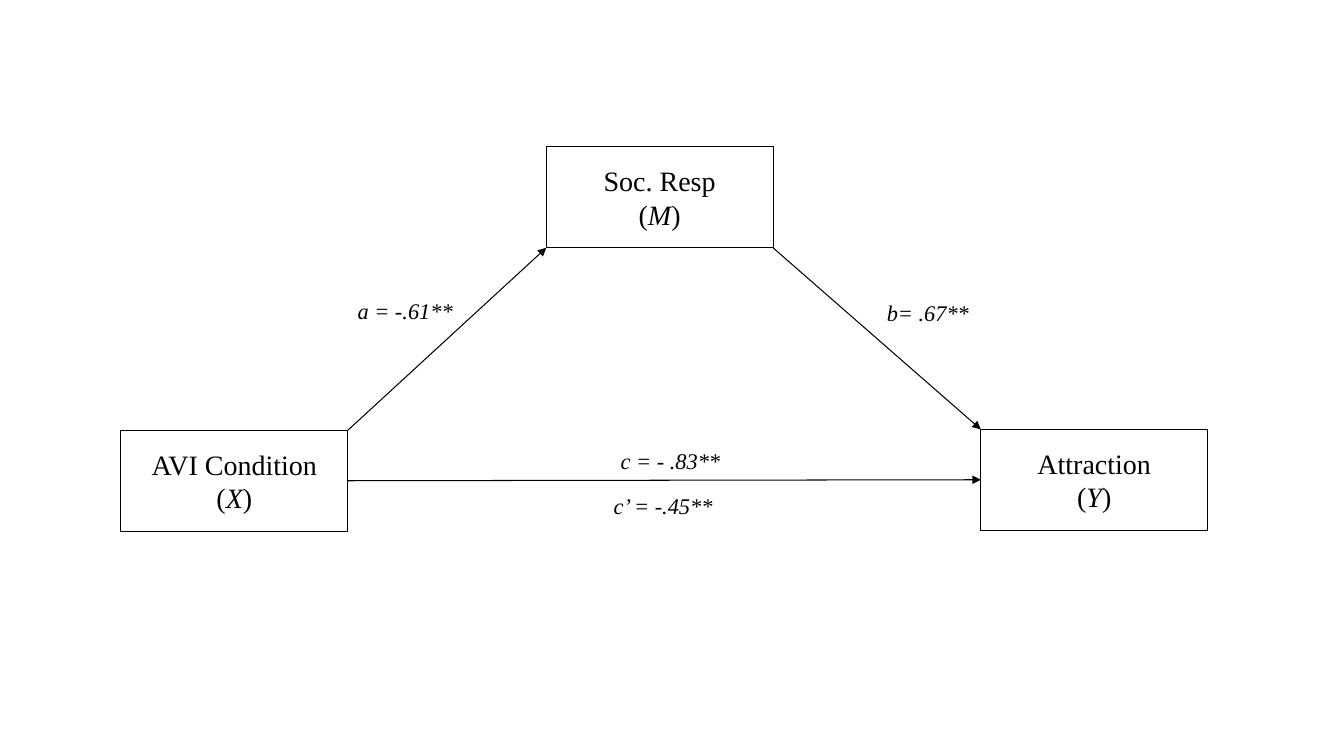
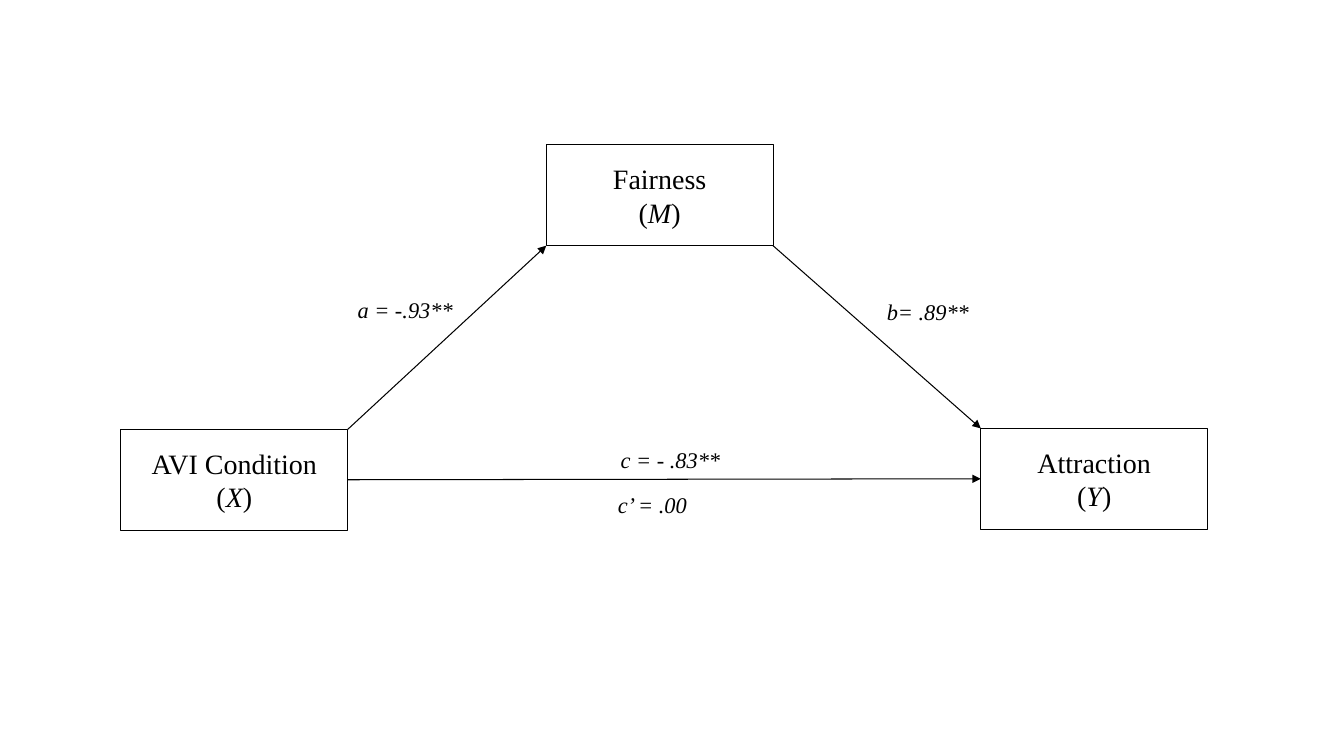
from lxml import etree
from pptx import Presentation
from pptx.dml.color import RGBColor
from pptx.enum.shapes import MSO_CONNECTOR, MSO_SHAPE
from pptx.enum.text import MSO_ANCHOR, PP_ALIGN
from pptx.oxml.ns import qn
from pptx.util import Pt

RECTANGLE = MSO_SHAPE.RECTANGLE
STRAIGHT = MSO_CONNECTOR.STRAIGHT
MIDDLE = MSO_ANCHOR.MIDDLE
CENTER = PP_ALIGN.CENTER

BLACK = RGBColor(0x00, 0x00, 0x00)
FONT = "Times New Roman"
VARIABLE_SIZE = Pt(20)
LABEL_SIZE = Pt(16)
LINE_WIDTH = Pt(0.75)
BOX_WIDTH, BOX_HEIGHT = Pt(162), Pt(72)
LABEL_HEIGHT = Pt(26.6)
LEFT_SITE, RIGHT_SITE = 1, 3

MODELS = [
    {
        "mediator": "Soc. Resp",
        "mediator_top": Pt(105),
        "shift": Pt(0),
        "a": "a = -.61**",
        "b": "b= .67**",
        "direct": "c’ = -.45**",
        "direct_left": Pt(431.3),
        "direct_width": Pt(86.4),
    },
    {
        "mediator": "Fairness",
        "mediator_top": Pt(103.5),
        "shift": Pt(-0.7),
        "a": "a = -.93**",
        "b": "b= .89**",
        "direct": "c’ = .00",
        "direct_left": Pt(434.2),
        "direct_width": Pt(74.2),
    },
]


def add_span(para, text, size, italic=False):
    span = para.add_run()
    span.text = text
    span.font.name = FONT
    span.font.size = size
    span.font.italic = italic
    span.font.color.rgb = BLACK


def style_line(line):
    line.color.rgb = BLACK
    line.width = LINE_WIDTH


def add_variable(page, left, top, name, symbol):
    box = page.shapes.add_shape(RECTANGLE, left, top, BOX_WIDTH, BOX_HEIGHT)
    box.shadow.inherit = False
    box.fill.background()
    style_line(box.line)
    frame = box.text_frame
    frame.word_wrap = True
    frame.vertical_anchor = MIDDLE
    name_para = frame.paragraphs[0]
    symbol_para = frame.add_paragraph()
    name_para.alignment = symbol_para.alignment = CENTER
    add_span(name_para, name, VARIABLE_SIZE)
    add_span(symbol_para, "(", VARIABLE_SIZE)
    add_span(symbol_para, symbol, VARIABLE_SIZE, italic=True)
    add_span(symbol_para, ")", VARIABLE_SIZE)
    return box


def add_arrow(page, start, end):
    arrow = page.shapes.add_connector(STRAIGHT, *start, *end)
    style_line(arrow.line)
    outline = arrow.line._get_or_add_ln()
    etree.SubElement(outline, qn("a:tailEnd"), type="triangle")
    etree.SubElement(arrow._element.spPr, qn("a:effectLst"))
    return arrow


def add_label(page, left, top, width, text):
    box = page.shapes.add_textbox(left, top, width, LABEL_HEIGHT)
    box.text_frame.word_wrap = True
    add_span(box.text_frame.paragraphs[0], text, LABEL_SIZE, italic=True)


def add_mediation_model(page, model):
    shift = model["shift"]
    cause = add_variable(page, Pt(86.4), Pt(307.4) + shift, "AVI Condition", "X")
    outcome = add_variable(page, Pt(700.6), Pt(306.7) + shift, "Attraction", "Y")
    mediator = add_variable(
        page, Pt(390.2), model["mediator_top"], model["mediator"], "M"
    )

    cause_right = cause.left + BOX_WIDTH
    mediator_right = mediator.left + BOX_WIDTH
    mediator_bottom = mediator.top + BOX_HEIGHT
    add_arrow(page, (cause_right, cause.top), (mediator.left, mediator_bottom))
    direct_arrow = add_arrow(
        page,
        (cause_right, cause.top + BOX_HEIGHT // 2),
        (outcome.left, outcome.top + BOX_HEIGHT // 2),
    )
    direct_arrow.begin_connect(cause, RIGHT_SITE)
    direct_arrow.end_connect(outcome, LEFT_SITE)
    add_arrow(page, (mediator_right, mediator_bottom), (outcome.left, outcome.top))

    labels = [
        (Pt(436.3), Pt(316.1), Pt(87.2), "c = - .83**"),
        (model["direct_left"], Pt(347.8), model["direct_width"], model["direct"]),
        (Pt(248.4), Pt(208.8), Pt(84.3), model["a"]),
        (Pt(626.4), Pt(210.2), Pt(74.2), model["b"]),
    ]
    for left, top, width, text in labels:
        add_label(page, left, top + shift, width, text)


def main():
    deck = Presentation()
    deck.slide_width, deck.slide_height = Pt(960), Pt(540)
    blank_layout = deck.slide_layouts[6]
    for model in MODELS:
        add_mediation_model(deck.slides.add_slide(blank_layout), model)
    deck.save("out.pptx")


main()
